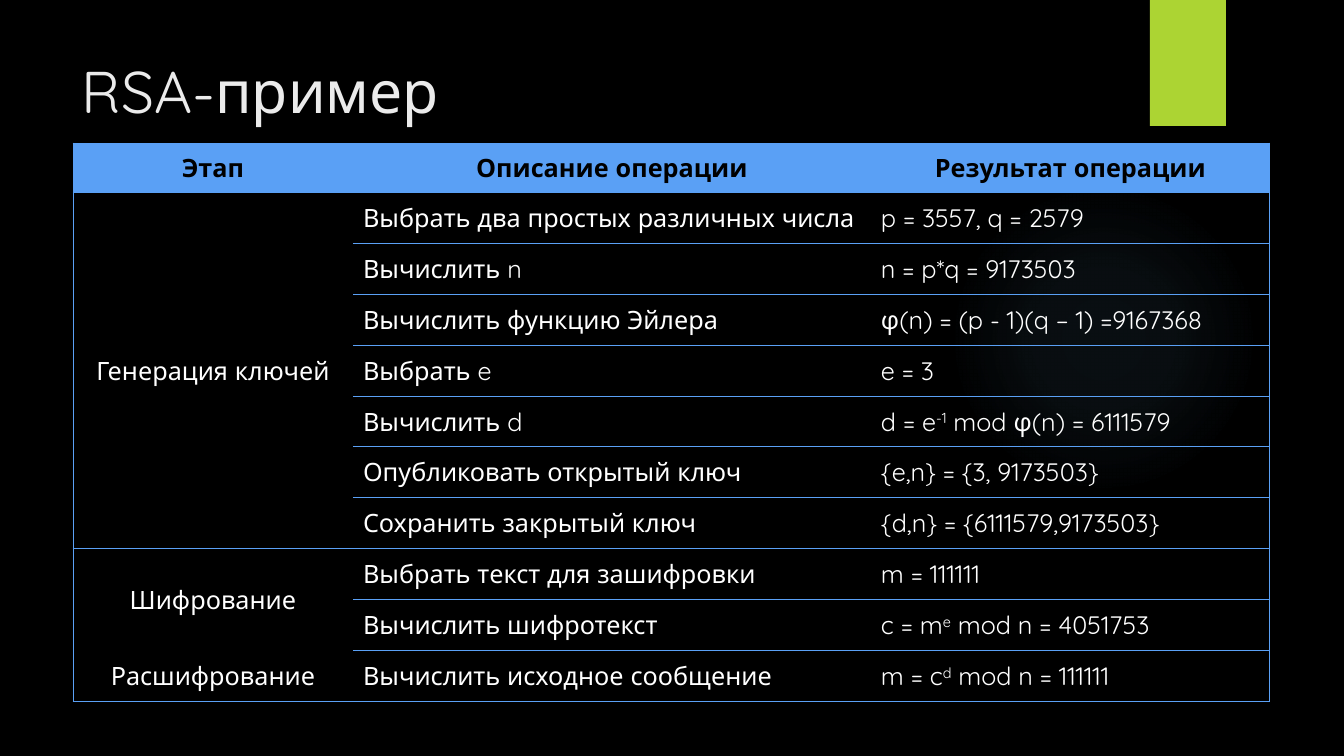
import pptx
import pptx.util
import pptx.dml.color
import pptx.enum.shapes
import pptx.enum.text
import pptx.oxml
import pptx.oxml.ns

EMU_PER_PX = 914400 / 100.8
FONT = "Quicksand"
COLORS = {
    "background": "000000",
    "glow": "7AC4F0",
    "tab": "ACD433",
    "title": "EBEBEB",
    "table": "5AA0F5",
    "header_text": "000000",
    "body_text": "FFFFFF",
}


def px(length):
    return pptx.util.Emu(round(length * EMU_PER_PX))


def format_run(run, size, color, bold=False):
    run.font.name = FONT
    run.font.size = pptx.util.Pt(size)
    run.font.bold = bold
    run.font.color.rgb = pptx.dml.color.RGBColor.from_string(COLORS[color])


presentation = pptx.Presentation()
presentation.slide_width, presentation.slide_height = px(1344), px(756)
slide = presentation.slides.add_slide(presentation.slide_layouts[6])
background = slide.background.fill
background.solid()
background.fore_color.rgb = pptx.dml.color.RGBColor.from_string(COLORS["background"])

# Soft glow and green tab
shape_types = pptx.enum.shapes.MSO_SHAPE
glow = slide.shapes.add_shape(shape_types.OVAL, px(949), px(184), px(310), px(310))
tab = slide.shapes.add_shape(shape_types.RECTANGLE, px(1150), 0, px(76), px(126))
for shape in (glow, tab):
    shape.shadow.inherit = False
    shape.line.fill.background()
tab.fill.solid()
tab.fill.fore_color.rgb = pptx.dml.color.RGBColor.from_string(COLORS["tab"])

stops = "".join(
    f'<a:gs pos="{position * 1000}"><a:srgbClr val="{COLORS["glow"]}">'
    f'<a:alpha val="{alpha * 1000}"/></a:srgbClr></a:gs>'
    for position, alpha in [(0, 7), (36, 6), (69, 0), (100, 0)]
)
gradient = pptx.oxml.parse_xml(
    f'<a:gradFill {pptx.oxml.ns.nsdecls("a")} rotWithShape="1"><a:gsLst>{stops}</a:gsLst>'
    '<a:path path="circle"><a:fillToRect l="50000" t="50000" r="50000" b="50000"/></a:path>'
    "</a:gradFill>"
)
glow.fill.gradient()
glow_properties = glow.element.spPr
glow_properties.replace(glow_properties.find(pptx.oxml.ns.qn("a:gradFill")), gradient)

# Title
title = slide.shapes.add_textbox(px(72), px(50), px(1037), px(154))
title.text_frame.word_wrap = True
title.text_frame.text = "RSA-пример"
format_run(title.text_frame.paragraphs[0].runs[0], 42, "title")

# Table content: superscripts stand between ^ marks
rows = [
    ("Этап", "Описание операции", "Результат операции"),
    ("Генерация ключей", "Выбрать два простых различных числа", "p = 3557, q = 2579"),
    ("", "Вычислить n", "n = p*q = 9173503"),
    ("", "Вычислить функцию Эйлера", "φ(n) = (p - 1)(q – 1) =9167368"),
    ("", "Выбрать e", "e = 3"),
    ("", "Вычислить d", "d = e^-1^ mod φ(n) = 6111579"),
    ("", "Опубликовать открытый ключ", "{e,n} = {3, 9173503}"),
    ("", "Сохранить закрытый ключ", "{d,n} = {6111579,9173503}"),
    ("Шифрование", "Выбрать текст для зашифровки", "m = 111111"),
    ("", "Вычислить шифротекст", "c = m^e^ mod n = 4051753"),
    ("Расшифрование", "Вычислить исходное сообщение", "m = c^d^ mod n = 111111"),
]
row_count = len(rows)
column_widths = [280, 518, 399]
table_height = 559
table = slide.shapes.add_table(
    row_count, 3, px(73), px(143), px(sum(column_widths)), px(table_height)
).table
table.first_row = False
table.horz_banding = False
for column, width in zip(table.columns, column_widths):
    column.width = px(width)
for index, row in enumerate(table.rows):
    top, bottom = (table_height * edge // row_count for edge in (index, index + 1))
    row.height = px(bottom - top)
table.cell(1, 0).merge(table.cell(7, 0))
table.cell(8, 0).merge(table.cell(9, 0))

# Row boundaries that carry a line: few in the stage column, all elsewhere
stage_lines = {0, 1, 8, row_count}
all_lines = set(range(row_count + 1))

for row_index, texts in enumerate(rows):
    is_header = row_index == 0
    for column_index, text in enumerate(texts):
        cell = table.cell(row_index, column_index)
        lines = all_lines if column_index else stage_lines
        borders = {
            "lnL": column_index == 0,
            "lnR": column_index == 2,
            "lnT": row_index in lines,
            "lnB": row_index + cell.span_height in lines,
        }
        properties = cell._tc.get_or_add_tcPr()
        for side, visible in borders.items():
            paint = (
                f'<a:solidFill><a:srgbClr val="{COLORS["table"]}"/></a:solidFill>'
                if visible else "<a:noFill/>"
            )
            properties.append(pptx.oxml.parse_xml(
                f'<a:{side} {pptx.oxml.ns.nsdecls("a")} w="9525">{paint}</a:{side}>'
            ))
        if is_header:
            cell.fill.solid()
            cell.fill.fore_color.rgb = pptx.dml.color.RGBColor.from_string(COLORS["table"])
        else:
            cell.fill.background()
        if cell.is_spanned:
            continue

        cell.vertical_anchor = pptx.enum.text.MSO_ANCHOR.MIDDLE
        paragraph = cell.text_frame.paragraphs[0]
        if is_header or column_index == 0:
            paragraph.alignment = pptx.enum.text.PP_ALIGN.CENTER
        for part_index, part in enumerate(text.split("^")):
            run = paragraph.add_run()
            run.text = part
            format_run(run, 18, "header_text" if is_header else "body_text", is_header)
            if part_index % 2:
                run._r.get_or_add_rPr().set("baseline", "30000")

presentation.save("out.pptx")
